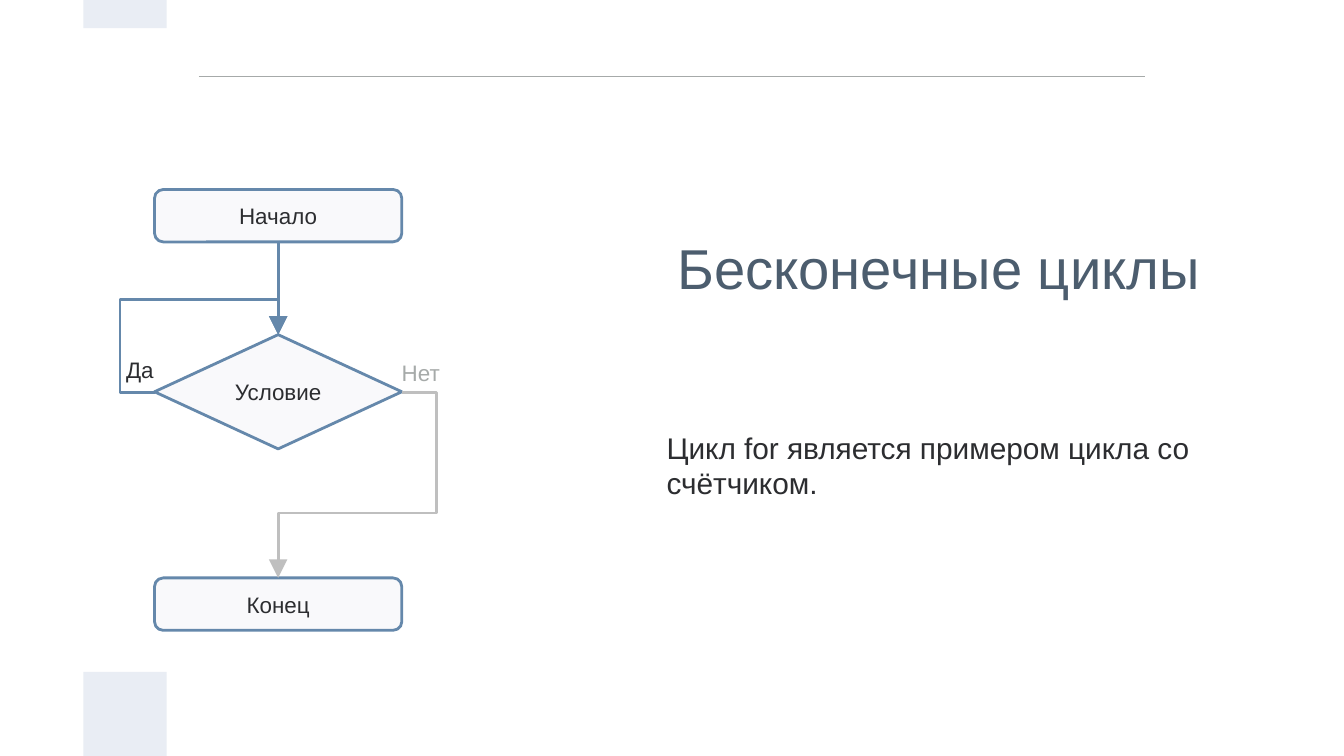
import pptx
import pptx.dml.color
import pptx.enum.shapes
import pptx.enum.text
import pptx.oxml.ns
import pptx.util
from pptx.util import Inches

FORM = pptx.enum.shapes.MSO_SHAPE
LINK = pptx.enum.shapes.MSO_CONNECTOR
ANCHOR = pptx.enum.text.MSO_ANCHOR
ALIGN = pptx.enum.text.PP_ALIGN
QN = pptx.oxml.ns.qn

INK = "2C2D30"
BLUE = "6588AB"
GRAY = "A6AAA9"
PALE = "E9EDF4"
LEFT, WIDTH = 1.15, 1.84
MID = LEFT + WIDTH / 2
RIGHT = LEFT + WIDTH


def paint(target, color):
    if hasattr(target, "solid"):
        target.solid()
        target = target.fore_color
    target.rgb = pptx.dml.color.RGBColor.from_string(color)


def apply(target, values):
    for name, value in values.items():
        setattr(target, name, value)


def add_node(parent, tag, **values):
    parent.append(parent.makeelement(QN(tag), values))


def write(shape, text, size=12, color=INK, inset=(0.1, 0.05),
          anchor=ANCHOR.TOP, align=ALIGN.LEFT):
    frame = shape.text_frame
    across, down = map(Inches, inset)
    apply(frame, {
        "word_wrap": True, "vertical_anchor": anchor,
        "margin_left": across, "margin_right": across,
        "margin_top": down, "margin_bottom": down,
    })
    para = frame.paragraphs[0]
    para.alignment = align
    run = para.add_run()
    run.text = text
    apply(run.font, {"name": "Arial", "size": pptx.util.Pt(size)})
    paint(run.font.color, color)


def add_text(slide, box, text, **style):
    write(slide.shapes.add_textbox(*map(Inches, box)), text, **style)


def add_form(slide, form, box, fill):
    shape = slide.shapes.add_shape(form, *map(Inches, box))
    shape.shadow.inherit = False
    paint(shape.fill, fill)
    shape.line.fill.background()
    return shape


def add_step(slide, form, top, height, text):
    shape = add_form(slide, form, (LEFT, top, WIDTH, height), "F9F9FB")
    paint(shape.line.color, BLUE)
    shape.line.width = pptx.util.Pt(1.5)
    write(shape, text, anchor=ANCHOR.MIDDLE, align=ALIGN.CENTER)


def add_line(slide, start, end, color, width=1.5, arrow=True, kind=LINK.STRAIGHT):
    line = slide.shapes.add_connector(kind, *map(Inches, start + end))
    paint(line.line.color, color)
    line.line.width = pptx.util.Pt(width)
    props = line.element.spPr
    if arrow:
        add_node(props.find(QN("a:ln")), "a:tailEnd",
                 type="triangle", w="lg", len="lg")
    add_node(props, "a:effectLst")
    return line


def add_bend(slide, start, end, color, bends):
    line = add_line(slide, start, end, color, kind=LINK.ELBOW)
    props = line.element.spPr
    frame = props.find(QN("a:xfrm"))
    if frame.attrib.pop("flipV", None):
        frame.attrib.update({"rot": "10800000", "flipH": "1"})
    shape = props.find(QN("a:prstGeom"))
    shape.set("prst", "bentConnector4")
    guides = shape.find(QN("a:avLst"))
    for count, bend in enumerate(bends, 1):
        add_node(guides, "a:gd", name=f"adj{count}",
                 fmla=f"val {round(bend * 100000)}")


def add_frame(slide):
    add_line(slide, (1.48, 0.57), (8.52, 0.57), GRAY, 0.75, arrow=False)
    for top, height in ((5, 0.63), (0, 0.21)):
        add_form(slide, FORM.RECTANGLE, (0.62, top, 0.62, height), PALE)


def add_flow(slide):
    add_step(slide, FORM.ROUNDED_RECTANGLE, 1.41, 0.39, "Начало")
    add_step(slide, FORM.DIAMOND, 2.49, 0.85, "Условие")
    add_step(slide, FORM.ROUNDED_RECTANGLE, 4.3, 0.39, "Конец")
    add_text(slide, (2.89, 2.62, 0.49, 0.3), "Нет", color=GRAY)
    add_line(slide, (MID, 1.79), (MID, 2.49), BLUE)
    add_bend(slide, (RIGHT, 2.92), (MID, 4.3), "BFBFBF", (-0.28, 0.65))
    add_text(slide, (0.84, 2.6, 0.43, 0.3), "Да")
    add_bend(slide, (LEFT, 2.92), (MID, 2.49), BLUE, (-0.28, 1.61))


def main():
    deck = pptx.Presentation()
    wide = Inches(10)
    apply(deck, {"slide_width": wide, "slide_height": wide * 9 // 16})
    slide = deck.slides.add_slide(deck.slide_layouts[6])
    add_frame(slide)
    add_text(slide, (4.91, 1.54, 4.25, 0.89), "Бесконечные циклы", size=30.1,
             color="4C5D6E", inset=(0.13, 0.13), anchor=ANCHOR.MIDDLE)
    add_text(slide, (4.91, 2.17, 4.09, 2.58),
             "Цикл for является примером цикла со счётчиком.",
             size=16, inset=(0.05, 0.05), anchor=ANCHOR.MIDDLE)
    add_flow(slide)
    deck.save("out.pptx")


if __name__ == "__main__":
    main()
